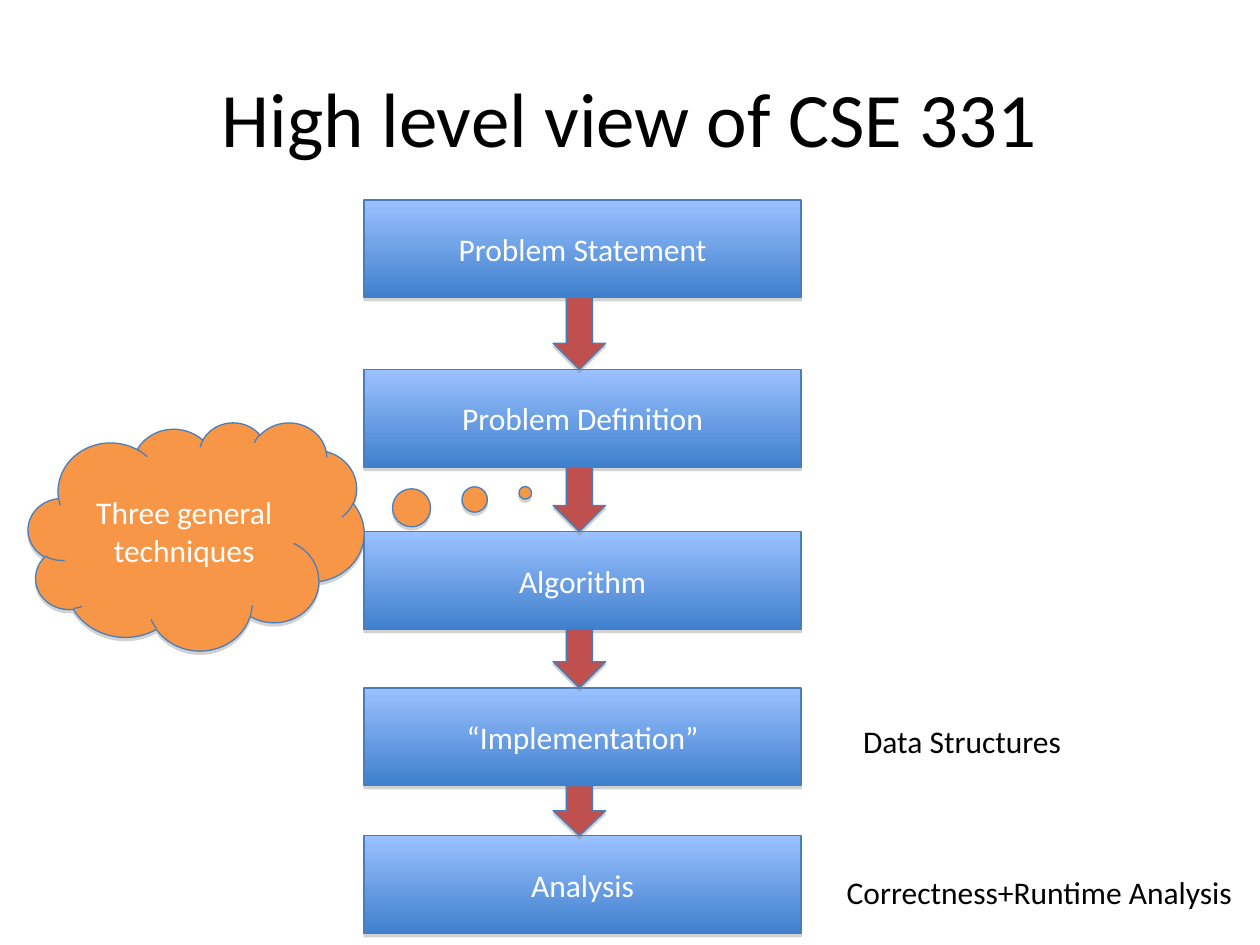
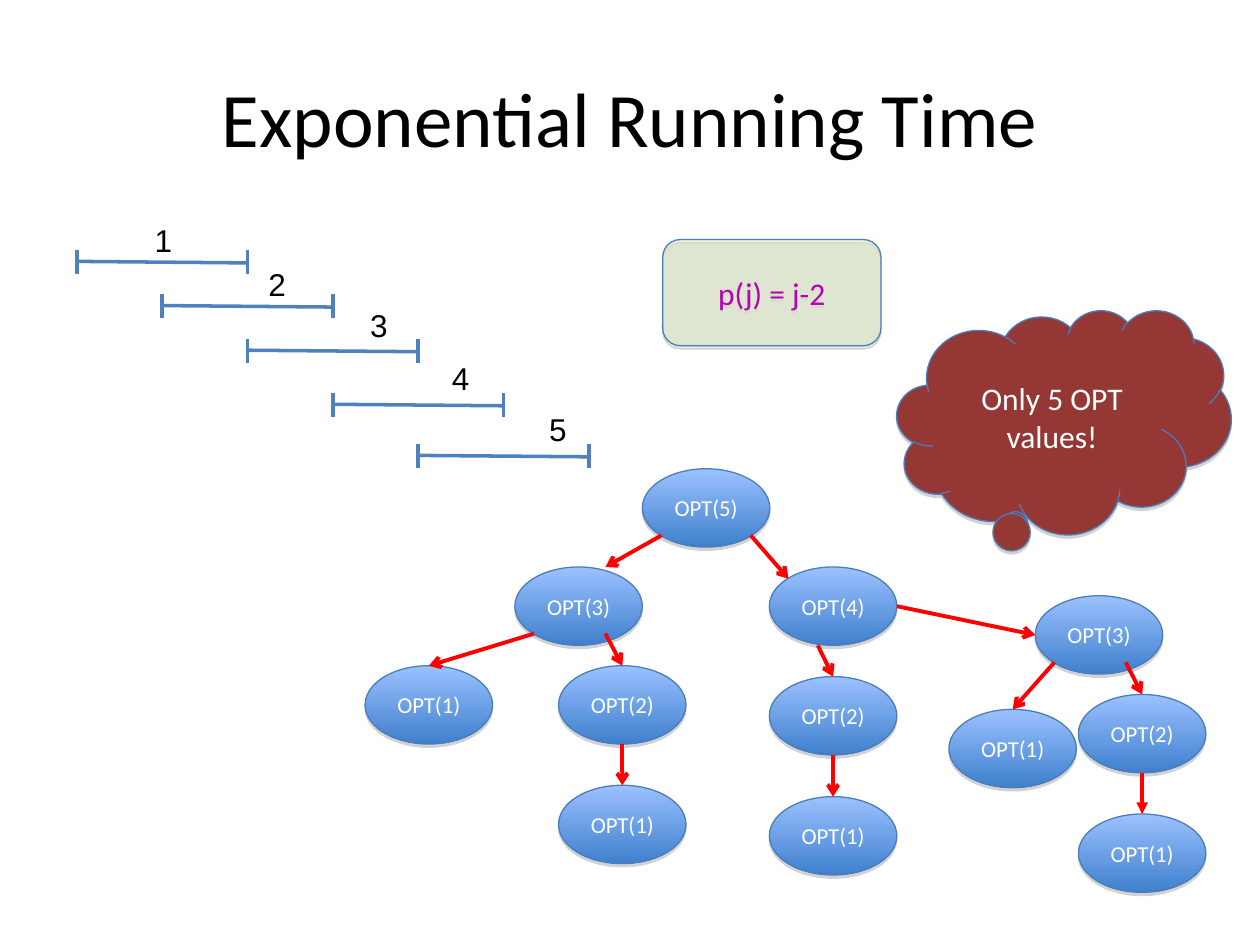
"""Build two lecture slides: the course overview and the OPT recursion tree."""
from lxml.etree import SubElement
from pptx import Presentation
from pptx.dml.color import RGBColor
from pptx.enum.shapes import MSO_CONNECTOR, MSO_SHAPE
from pptx.enum.text import MSO_ANCHOR, PP_ALIGN
from pptx.oxml.ns import qn
from pptx.util import Cm, Pt

COLORS = {
    "black": "000000",
    "white": "FFFFFF",
    "gradient top": "9BC1FF",
    "gradient bottom": "3F80CD",
    "outline": "4A7EBB",
    "shadow": "808080",
    "step arrow": "C0504D",
    "techniques": "F79646",
    "interval": "4F81BD",
    "formula fill": "D7E4BD",
    "formula text": "B700B7",
    "call": "FF0000",
    "remark": "953735",
}
RGB = {role: RGBColor.from_string(code) for role, code in COLORS.items()}


def add_text(slide, text, left, top, width, height, size=18, font="Calibri", centred=False):
    label = slide.shapes.add_textbox(Cm(left), Cm(top), Cm(width), Cm(height))
    frame = label.text_frame
    frame.word_wrap = centred
    frame.vertical_anchor = MSO_ANCHOR.MIDDLE if centred else MSO_ANCHOR.TOP
    line = frame.paragraphs[0]
    line.text = text
    line.alignment = PP_ALIGN.CENTER if centred else PP_ALIGN.LEFT
    line.font.size = Pt(size)
    line.font.name = font
    line.font.color.rgb = RGB["black"]


def add_block(slide, preset, left, top, width, height, text="", fill=None, size=18, ink="white"):
    block = slide.shapes.add_shape(preset, Cm(left), Cm(top), Cm(width), Cm(height))
    if fill:
        block.fill.solid()
        block.fill.fore_color.rgb = RGB[fill]
    else:
        block.fill.gradient()
        block.fill.gradient_angle = 270
        for stop, position, role in zip(
            block.fill.gradient_stops, (0, 1), ("gradient top", "gradient bottom")
        ):
            stop.position = position
            stop.color.rgb = RGB[role]
    block.line.color.rgb = RGB["outline"]
    block.line.width = Pt(0.75)
    block.shadow.inherit = False
    effects = block._element.spPr.find(qn("a:effectLst"))
    shadow = SubElement(effects, qn("a:outerShdw"), blurRad="0", dist="23000",
                        dir="5400000", rotWithShape="0")
    tint = SubElement(shadow, qn("a:srgbClr"), val=COLORS["shadow"])
    SubElement(tint, qn("a:alpha"), val="35000")
    if text:
        block.text_frame.word_wrap = True
        block.text_frame.vertical_anchor = MSO_ANCHOR.MIDDLE
        line = block.text_frame.paragraphs[0]
        line.text = text
        line.alignment = PP_ALIGN.CENTER
        line.font.size = Pt(size)
        line.font.name = "Calibri"
        line.font.color.rgb = RGB[ink]
    return block


deck = Presentation()
deck.slide_width, deck.slide_height = Cm(25.4), Cm(19.05)
overview, recursion = [deck.slides.add_slide(deck.slide_layouts[6]) for _ in range(2)]
for slide, title in ((overview, "High level view of CSE 331"), (recursion, "Exponential Running Time")):
    add_text(slide, title, 1.27, 0.76, 22.86, 3.18, size=44, centred=True)

STEP_HEIGHT = 1.97
steps = [
    ("Problem Statement", 4.03),
    ("Problem Definition", 7.45),
    ("Algorithm", 10.72),
    ("“Implementation”", 13.87),
    ("Analysis", 16.85),
]
for step, top in steps:
    add_block(overview, MSO_SHAPE.RECTANGLE, 7.34, top, 8.81, STEP_HEIGHT, step)
for (_, top), (_, next_top) in zip(steps, steps[1:]):
    bottom = top + STEP_HEIGHT
    add_block(overview, MSO_SHAPE.DOWN_ARROW, 11.15, bottom, 1.06, next_top - bottom, fill="step arrow")
add_text(overview, "Data Structures", 17.15, 14.43, 4.52, 1.02)
add_text(overview, "Correctness+Runtime Analysis", 16.82, 17.48, 8.28, 1.02)
techniques = add_block(overview, MSO_SHAPE.CLOUD_CALLOUT, 0.57, 8.51, 6.77, 4.6,
                       "Three general techniques", "techniques")
techniques.adjustments[0], techniques.adjustments[1] = 0.98, -0.19

strokes = []
intervals = [(5.27, 2.87, 4.34), (6.16, 5.16, 5.21), (7.06, 7.21, 6.05), (8.15, 8.86, 7.11), (9.18, 10.82, 8.15)]
for index, (level, number_left, number_top) in enumerate(intervals):
    start = 1.55 + 1.72 * index
    end = start + 3.44
    strokes.append((start, level, end, level + 0.03, "interval", 2, None))
    for x in (start, end):
        strokes.append((x, level - 0.23, x, level + 0.25, "interval", 2, None))
    add_text(recursion, str(index + 1), number_left, number_top, 0.86, 1.02, font="Arial")

formula = add_block(recursion, MSO_SHAPE.ROUNDED_RECTANGLE, 13.36, 4.83, 4.4, 2.14,
                    "p(j) = j-2", "formula fill", ink="formula text")
formula_color = formula._element.spPr.find(qn("a:solidFill"))[0]
SubElement(formula_color, qn("a:alpha"), val="53000")

CALL_WIDTH, CALL_HEIGHT = 2.57, 1.58
calls = {
    "root": (5, 12.95, 9.45),
    "left": (3, 10.38, 11.43),
    "left.1": (1, 7.36, 13.42),
    "left.2": (2, 11.26, 13.42),
    "left.2.1": (1, 11.26, 15.83),
    "right": (4, 15.51, 11.43),
    "right.2": (2, 15.51, 13.64),
    "right.2.1": (1, 15.51, 16.06),
    "right.3": (3, 20.87, 12.01),
    "right.3.1": (1, 19.13, 14.3),
    "right.3.2": (2, 21.74, 14),
    "right.3.2.1": (1, 21.74, 16.41),
}
for argument, left, top in calls.values():
    add_block(recursion, MSO_SHAPE.OVAL, left, top, CALL_WIDTH, CALL_HEIGHT, f"OPT({argument})", size=13)

LOWER_LEFT, LOWER_RIGHT, BOTTOM = (0.15, 0.85), (0.85, 0.85), (0.5, 1)
INNER_RIGHT, TOP = (0.71, 0.85), (0.5, 0)
edges = [
    ("root", LOWER_LEFT, "left", (0.71, 0), "arrow"),
    ("root", LOWER_RIGHT, "right", (0.15, 0.15), "arrow"),
    ("left", LOWER_LEFT, "left.1", TOP, "arrow"),
    ("left", INNER_RIGHT, "left.2", TOP, "arrow"),
    ("left.2", BOTTOM, "left.2.1", TOP, "arrow"),
    ("right", (0.38, 1), "right.2", TOP, "arrow"),
    ("right.2", BOTTOM, "right.2.1", TOP, "arrow"),
    ("right", (1, 0.5), "right.3", (0, 0.5), "arrow"),
    ("right.3", LOWER_LEFT, "right.3.1", TOP, "arrow"),
    ("right.3", INNER_RIGHT, "right.3.2", TOP, "arrow"),
    ("right.3.2", BOTTOM, "right.3.2.1", TOP, "triangle"),
]
for caller, exit_site, callee, entry_site, head in edges:
    ends = []
    for call, (across, down) in ((caller, exit_site), (callee, entry_site)):
        _, left, top = calls[call]
        ends += [left + across * CALL_WIDTH, top + down * CALL_HEIGHT]
    strokes.append((*ends, "call", 2.25, head))

for x1, y1, x2, y2, role, weight, head in strokes:
    stroke = recursion.shapes.add_connector(MSO_CONNECTOR.STRAIGHT, Cm(x1), Cm(y1), Cm(x2), Cm(y2))
    stroke.line.color.rgb = RGB[role]
    stroke.line.width = Pt(weight)
    if head:
        SubElement(stroke.line._get_or_add_ln(), qn("a:tailEnd"), type=head)
    SubElement(stroke._element.spPr, qn("a:effectLst"))

remark = add_block(recursion, MSO_SHAPE.CLOUD_CALLOUT, 18.08, 6.25, 6.74, 4.52, "Only 5 OPT values!", "remark")
remark.adjustments[0], remark.adjustments[1] = -0.15, 0.47

deck.save("out.pptx")
